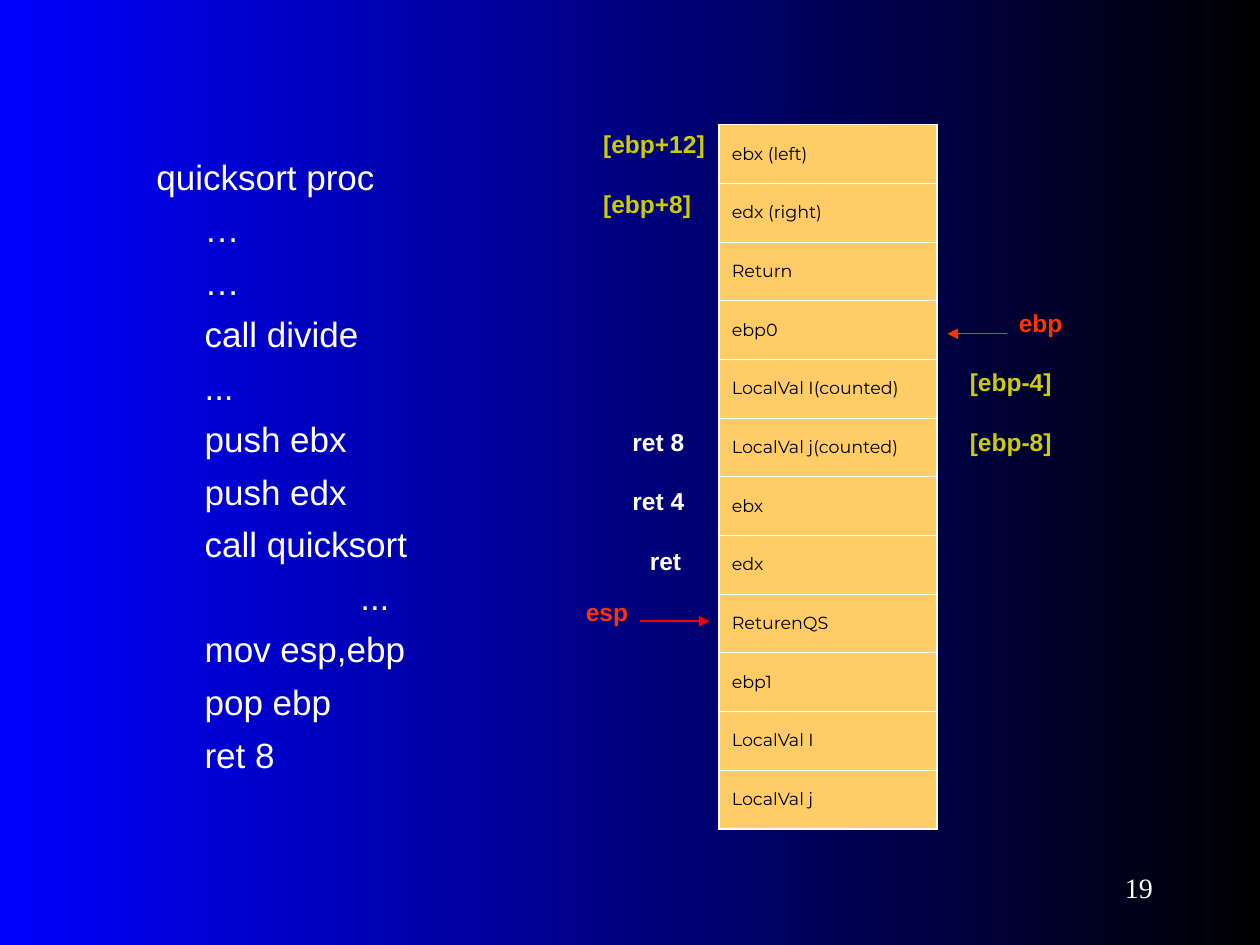
from collections import namedtuple

from lxml.etree import SubElement
from pptx import Presentation
from pptx.dml.color import RGBColor
from pptx.enum.shapes import MSO_CONNECTOR as Connector
from pptx.enum.text import MSO_ANCHOR as Anchor, MSO_AUTO_SIZE as AutoSize, PP_ALIGN as Align
from pptx.oxml.ns import qn
from pptx.util import Cm, Pt

Box = namedtuple("Box", "left top width height")

WHITE = RGBColor(0xFF, 0xFF, 0xFF)
BLACK = RGBColor(0x00, 0x00, 0x00)
BLUE = RGBColor(0x00, 0x00, 0xFF)
ORANGE = RGBColor(0xFF, 0xCC, 0x66)
OLIVE = RGBColor(0xCC, 0xCC, 0x00)
VERMILION = RGBColor(0xFF, 0x33, 0x00)
RED = RGBColor(0xFF, 0x00, 0x00)

STEP = 0.97
CODE = [
    ("quicksort proc", 0), ("…", STEP), ("…", STEP), ("call divide", STEP),
    ("...", STEP), ("push ebx", STEP), ("push edx", STEP), ("call quicksort", STEP),
    ("...", 4.11), ("mov esp,ebp", STEP), ("pop ebp", STEP), ("ret 8", STEP),
]
STACK = [
    "ebx (left)", "edx (right)", "Return", "ebp0", "LocalVal I(counted)",
    "LocalVal j(counted)", "ebx", "edx", "ReturenQS", "ebp1", "LocalVal I", "LocalVal j",
]
LABEL_PITCH = 1.2
LABELS = [
    ("[ebp+12]", -2.59, 0, OLIVE), ("[ebp+8]", -2.59, 1, OLIVE),
    ("ebp", 5.79, 3, VERMILION), ("[ebp-4]", 4.8, 4, OLIVE), ("[ebp-8]", 4.8, 5, OLIVE),
    ("ret 8", -2.0, 5, WHITE), ("ret 4", -2.0, 6, WHITE), ("ret", -1.65, 7, WHITE),
    ("esp", -2.94, 7.85, VERMILION),
]
ARROWS = [(-1.6, -0.2, 10.01, RED), (5.79, 4.6, 4.22, VERMILION)]


def style(para, name, size, color, bold=False):
    """Set the font of a whole paragraph."""
    font = para.font
    font.name, font.size, font.bold = name, Pt(size), bold
    font.color.rgb = color


def paint_background(page):
    """Fade the page from blue on the left to black on the right."""
    fill = page.background.fill
    fill.gradient()
    fill.gradient_angle = 0
    for stop, color in zip(fill.gradient_stops, (BLUE, BLACK)):
        stop.color.rgb = color


def add_code(page, box):
    """Write the assembly listing into the body placeholder."""
    body = page.placeholders[1]
    body.left, body.top, body.width, body.height = map(Cm, box)
    frame = body.text_frame
    frame.auto_size = AutoSize.NONE
    frame.text = "\n".join(line for line, _ in CODE)
    for index, (para, (_, margin)) in enumerate(zip(frame.paragraphs, CODE)):
        properties = para._p.get_or_add_pPr()
        properties.set("marL", str(Cm(margin)))
        properties.set("indent", "0")
        SubElement(properties, qn("a:buNone"))
        para.space_before = Pt(6 if index else 0)
        style(para, "Arial", 20, WHITE)


def add_border(cell, side, width):
    """Draw one white edge of a table cell."""
    line = SubElement(cell._tc.get_or_add_tcPr(), qn(f"a:ln{side}"), w=str(Pt(width)))
    fill = SubElement(line, qn("a:solidFill"))
    SubElement(fill, qn("a:srgbClr"), val=str(WHITE))


def add_stack(page, box):
    """Draw the stack frame as a table of one column."""
    table = page.shapes.add_table(len(STACK), 1, *map(Cm, box)).table
    last = len(STACK) - 1
    for index, entry in enumerate(STACK):
        table.rows[index].height = Cm(box.height / len(STACK))
        cell = table.cell(index, 0)
        edges = {"L": 1.08, "R": 1.08, "T": 0.45 if index else 1.08,
                 "B": 0.45 if index < last else 1.08}
        for side, width in edges.items():
            add_border(cell, side, width)
        cell.fill.solid()
        cell.fill.fore_color.rgb = ORANGE
        cell.vertical_anchor = Anchor.MIDDLE
        cell.text = entry
        style(cell.text_frame.paragraphs[0], "Montserrat", 10, BLACK)


def add_text(page, box, text):
    """Add a wrapping text box and return its frame."""
    frame = page.shapes.add_textbox(*map(Cm, box)).text_frame
    frame.word_wrap = True
    frame.text = text
    return frame


def add_labels(page, box):
    """Set the address and return labels beside the stack."""
    for text, offset, slot, color in LABELS:
        top = box.top - 0.2 + slot * LABEL_PITCH
        frame = add_text(page, Box(box.left + offset, top, 2.8, 1.35), text)
        frame.margin_top = frame.margin_bottom = Cm(0.38)
        style(frame.paragraphs[0], "Arial", 14, color, True)


def add_arrows(page, box):
    """Point the register arrows at their stack rows."""
    for start, end, drop, color in ARROWS:
        level = Cm(box.top + drop)
        arrow = page.shapes.add_connector(
            Connector.STRAIGHT, Cm(box.left + start), level, Cm(box.left + end), level)
        arrow.line.width = Pt(0.75)
        arrow.line.color.rgb = color
        properties = arrow.element.spPr
        SubElement(properties.find(qn("a:ln")), qn("a:tailEnd"), type="triangle")
        SubElement(properties, qn("a:effectLst"))


def add_page_number(page, box):
    """Write the page number at the lower right."""
    frame = add_text(page, box, "19")
    frame.vertical_anchor = Anchor.MIDDLE
    para = frame.paragraphs[0]
    para.alignment = Align.RIGHT
    style(para, "Times New Roman", 16, WHITE)


def main():
    """Build and save the deck."""
    deck = Presentation()
    deck.slide_width, deck.slide_height = Cm(25.4), Cm(19.05)
    page = deck.slides.add_slide(deck.slide_layouts[1])
    title = page.shapes.title.element
    title.getparent().remove(title)
    paint_background(page)
    add_code(page, Box(2.9, 3, 9.6, 15.1))
    stack = Box(14.5, 2.51, 4.39, 14.2)
    add_stack(page, stack)
    add_labels(page, stack)
    add_arrows(page, stack)
    add_page_number(page, Box(20.75, 17.35, 2.74, 1.07))
    deck.save("out.pptx")


if __name__ == "__main__":
    main()
